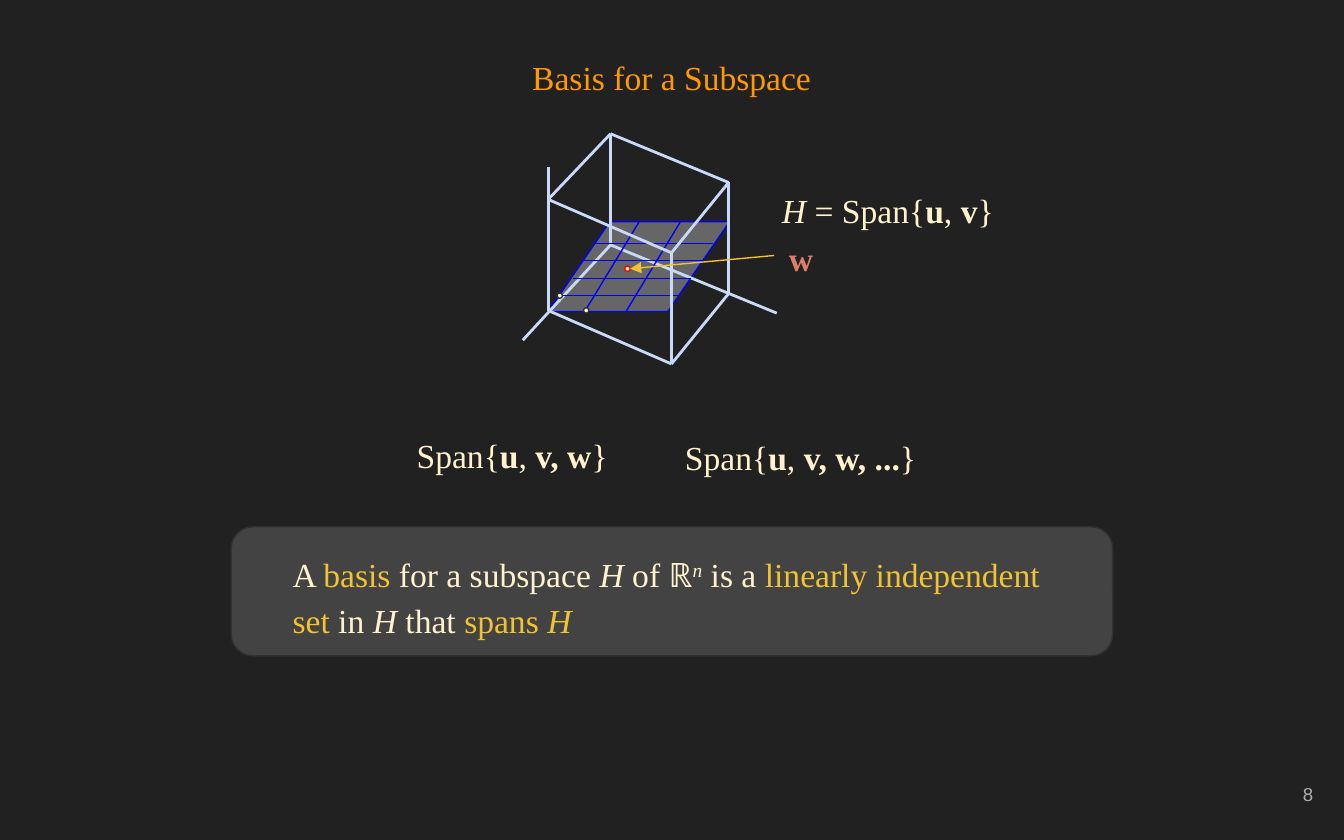
from lxml import etree
from pptx import Presentation
from pptx.dml.color import RGBColor
from pptx.enum.shapes import MSO_CONNECTOR, MSO_SHAPE
from pptx.enum.text import MSO_ANCHOR, PP_ALIGN
from pptx.oxml.ns import qn
from pptx.util import Cm, Pt

BACKGROUND = RGBColor(0x21, 0x21, 0x21)
ORANGE = RGBColor(0xFF, 0x99, 0x00)
CREAM = RGBColor(0xFF, 0xF2, 0xCC)
GOLD = RGBColor(0xF1, 0xC2, 0x32)
SALMON = RGBColor(0xDD, 0x7E, 0x6B)
PALE_BLUE = RGBColor(0xC9, 0xDA, 0xF8)
BLUE = RGBColor(0x00, 0x00, 0xFF)
RED = RGBColor(0xFF, 0x00, 0x00)
PLANE_GREY = RGBColor(0x66, 0x66, 0x66)
PANEL_GREY = RGBColor(0x43, 0x43, 0x43)
EDGE_GREY = RGBColor(0x30, 0x30, 0x30)
NUMBER_GREY = RGBColor(0xAD, 0xAD, 0xAD)

LEFT, CENTER, RIGHT = PP_ALIGN.LEFT, PP_ALIGN.CENTER, PP_ALIGN.RIGHT
TOP, MIDDLE = MSO_ANCHOR.TOP, MSO_ANCHOR.MIDDLE
OVAL = MSO_SHAPE.OVAL
PARALLELOGRAM = MSO_SHAPE.PARALLELOGRAM
ROUNDED = MSO_SHAPE.ROUNDED_RECTANGLE
STRAIGHT = MSO_CONNECTOR.STRAIGHT


class Painter:
    """Holds the style and the current slide; lengths are in centimetres."""

    font, size, inset = "Times New Roman", 18, 0.25

    def __init__(self, slide):
        self.slide = slide

    def text(self, x, y, w, h, runs, color=CREAM, align=CENTER, anchor=MIDDLE,
             font=font, size=size, spacing=1.15):
        """Each run is (text, style); style holds b, i, ^ (superscript), g (gold)."""
        sp = self.slide.shapes.add_textbox(Cm(x), Cm(y), Cm(w), Cm(h))
        tf = sp.text_frame
        tf.word_wrap = True
        tf.vertical_anchor = anchor
        tf.margin_left = tf.margin_right = Cm(self.inset)
        tf.margin_top = tf.margin_bottom = Cm(self.inset)
        p = tf.paragraphs[0]
        p.alignment = align
        p.line_spacing = spacing
        p.font.name, p.font.size = font, Pt(size)
        p.font.color.rgb = color
        for words, style in runs:
            r = p.add_run()
            r.text = words
            if "b" in style:
                r.font.bold = True
            if "i" in style:
                r.font.italic = True
            if "g" in style:
                r.font.color.rgb = GOLD
            if "^" in style:
                r.font._element.set("baseline", "30000")
        return sp

    def shape(self, kind, x, y, w, h, fill, line, adjust=None):
        sp = self.slide.shapes.add_shape(kind, Cm(x), Cm(y), Cm(w), Cm(h))
        sp.shadow.inherit = False
        sp.fill.solid()
        sp.fill.fore_color.rgb = fill
        sp.line.color.rgb = line
        sp.line.width = Pt(0.75)
        if adjust is not None:
            sp.adjustments[0] = adjust
        return sp

    def dot(self, x, y, line=EDGE_GREY, d=0.1):
        return self.shape(OVAL, x - d / 2, y - d / 2, d, d, CREAM, line)

    def line(self, start, end, color, width=0.75, arrow=False):
        cx = self.slide.shapes.add_connector(
            STRAIGHT, *(Cm(v) for v in (*start, *end)))
        cx.line.color.rgb = color
        cx.line.width = Pt(width)
        if arrow:
            etree.SubElement(cx.line._get_or_add_ln(), qn("a:tailEnd"), type="triangle")
        etree.SubElement(cx._element.spPr, qn("a:effectLst"))
        return cx


def main():
    prs = Presentation()
    prs.slide_width, prs.slide_height = Cm(25.4), Cm(15.88)
    s = prs.slides.add_slide(prs.slide_layouts[6])
    s.background.fill.solid()
    s.background.fill.fore_color.rgb = BACKGROUND
    paint = Painter(s)

    # Page number and title
    paint.text(23.55, 14.4, 1.52, 1.22, [("8", "")], NUMBER_GREY, RIGHT,
               font="Arial", size=10, spacing=1)
    paint.text(0.86, 0.71, 23.67, 1.22, [("Basis for a Subspace", "")], ORANGE, anchor=TOP)

    # Plane H inside the cube
    paint.shape(PARALLELOGRAM, 10.36, 4.19, 3.43, 1.7, PLANE_GREY, BLUE, 0.687)

    # Cube: four floor corners, lifted by its height, and the three axis ends
    near, front, right, back = floor = [
        (10.36, 5.87), (12.69, 6.88), (13.77, 5.55), (11.54, 4.63)]
    top_near, top_front, top_right, top_back = roof = [
        (x, y - 2.1) for x, y in floor]
    rear_edges = [
        (back, (9.88, 6.43)), (back, (14.68, 5.92)), (near, (10.36, 3.15)),
        (near, front), (front, right), (back, top_back), (right, top_right),
        (top_near, top_back), (top_back, top_right)]
    front_edges = [(top_near, top_front), (front, top_front), (top_front, top_right)]
    for start, end in rear_edges:
        paint.line(start, end, PALE_BLUE, 1.5)

    # Grid on the plane
    for i in range(2):
        x = 11.05 + 0.78 * i
        paint.line((x, 5.89), (x + 1.03, 4.19), BLUE)
    for i in range(4):
        x, y = 10.61 + 0.21 * i, 5.59 - 0.33 * i
        paint.line((x, y), (x + 2.24, y), BLUE)

    for start, end in front_edges:
        paint.line(start, end, PALE_BLUE, 1.5)

    # Vectors u and v, label of H
    paint.dot(11.08, 5.87)
    paint.dot(10.58, 5.59)
    paint.text(14, 3.4, 5.56, 1.02, [
        ("H", "i"), (" = Span{", ""), ("u", "b"), (", ", ""), ("v", "b"), ("}", "")])

    # Vector w with its pointer
    paint.dot(11.86, 5.08, RED)
    w_label = paint.text(14.63, 4.32, 1.02, 1.02, [("w", "b")], SALMON)
    pointer = paint.line((14.63, 4.83), (11.91, 5.08), GOLD, arrow=True)
    pointer.begin_connect(w_label, 1)

    # Larger spanning sets
    for x, y, w, vectors in [(7.37, 8.03, 4.62, "v, w"), (12.22, 8.08, 5.82, "v, w, ...")]:
        paint.text(x, y, w, 1.02, [
            ("Span{", ""), ("u", "b"), (", ", ""), (vectors, "b"), ("}", "")])

    # Definition panel
    paint.shape(ROUNDED, 4.37, 9.96, 16.66, 2.44, PANEL_GREY, EDGE_GREY, 0.167)
    paint.text(5.28, 10.11, 14.86, 2.13, [
        ("A ", ""), ("basis ", "g"), ("for a subspace ", ""), ("H", "i"),
        (" of ℝ", ""), ("n", "i^"), (" is a ", ""),
        ("linearly independent set", "g"), (" in ", ""), ("H", "i"),
        (" that ", ""), ("spans ", "g"), ("H", "gi")], align=LEFT, anchor=TOP)

    prs.save("out.pptx")


if __name__ == "__main__":
    main()
